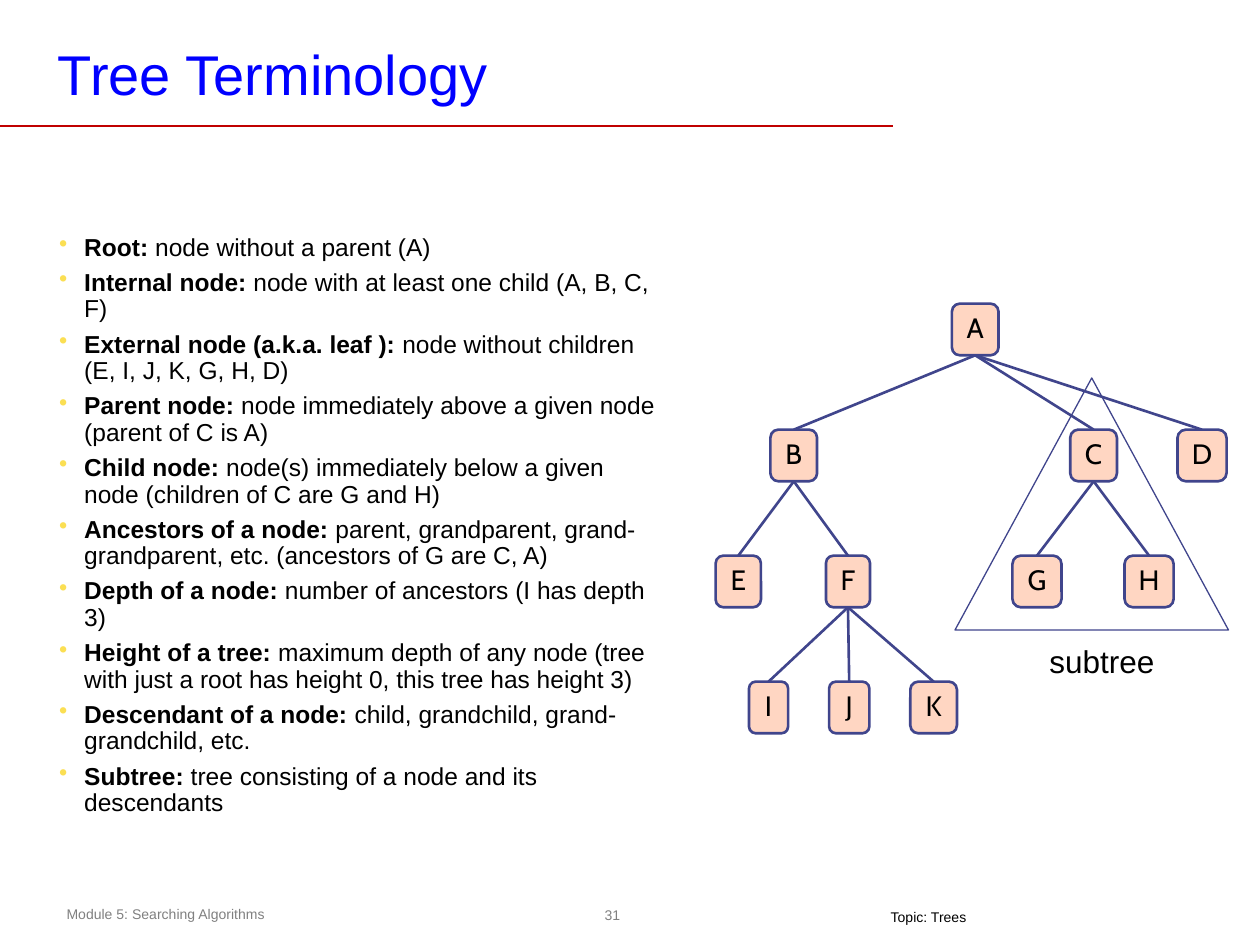
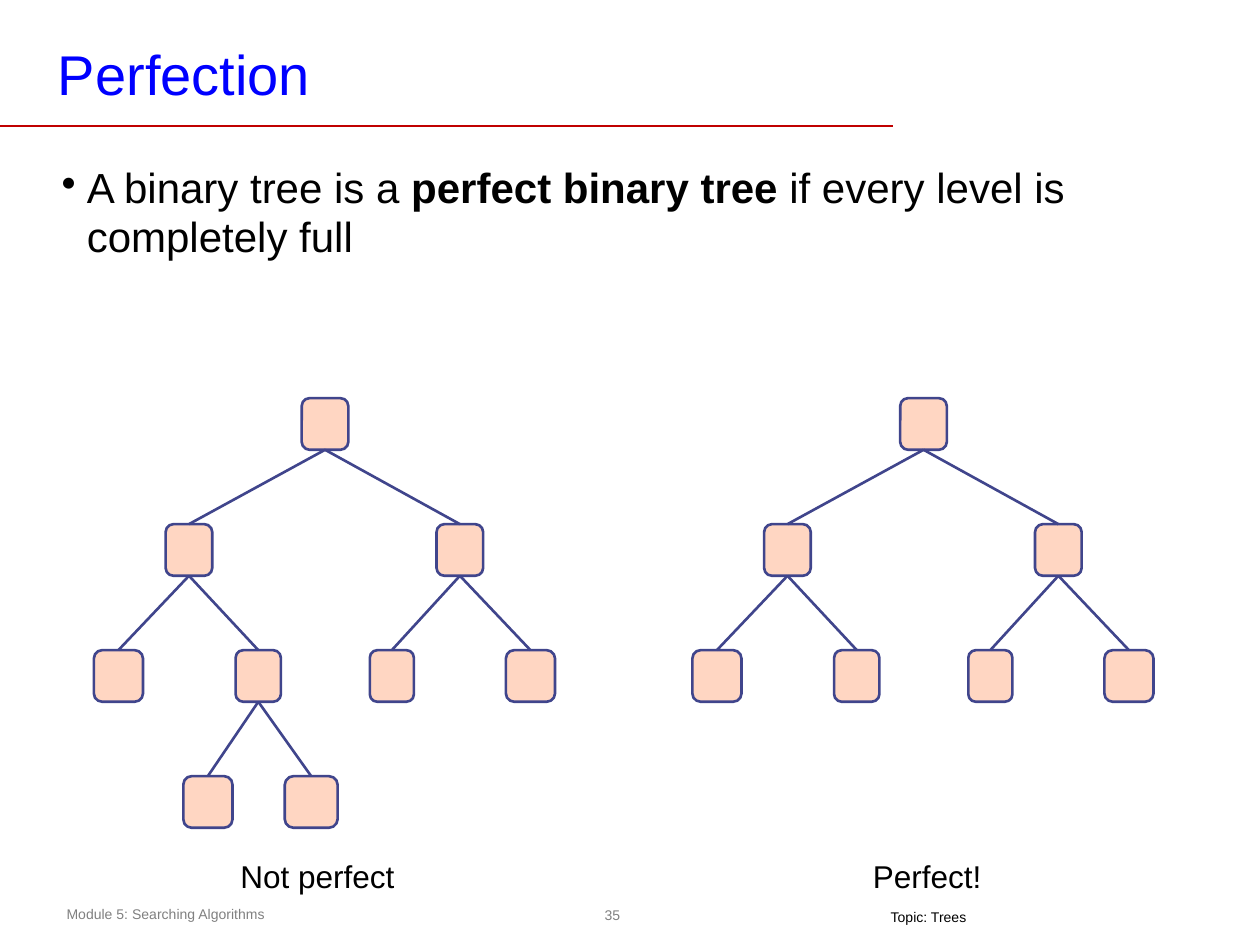
from lxml import etree
from pptx import Presentation
from pptx.dml.color import RGBColor
from pptx.enum.shapes import MSO_CONNECTOR, MSO_SHAPE
from pptx.enum.text import MSO_ANCHOR, PP_ALIGN
from pptx.oxml.ns import qn
from pptx.util import Inches, Pt

STRAIGHT = MSO_CONNECTOR.STRAIGHT
ROUNDED, TRIANGLE = MSO_SHAPE.ROUNDED_RECTANGLE, MSO_SHAPE.ISOSCELES_TRIANGLE
LEFT, CENTER = PP_ALIGN.LEFT, PP_ALIGN.CENTER
TOP, MIDDLE = MSO_ANCHOR.TOP, MSO_ANCHOR.MIDDLE

BLUE = RGBColor(0x00, 0x00, 0xFF)
RED = RGBColor(0xC0, 0x00, 0x00)
GRAY = RGBColor(0x80, 0x80, 0x80)
BLACK = RGBColor(0x00, 0x00, 0x00)
WHITE = RGBColor(0xFF, 0xFF, 0xFF)
INDIGO = RGBColor(0x40, 0x45, 0x8C)
PEACH = RGBColor(0xFF, 0xD6, 0xC2)
YELLOW = RGBColor(0xFB, 0xDF, 0x53)

BODY_FONT, NODE_FONT = "Arial", "Cabin"
SITE_TOP, SITE_BOTTOM = 0, 2
NODE_H, LEVEL_STEP = 0.41, 1.0

TERMS = [
    ("Root: ", "node without a parent (A)"),
    ("Internal node: ", "node with at least one child (A, B, C, F)"),
    ("External node (a.k.a. leaf ): ", "node without children (E, I, J, K, G, H, D)"),
    ("Parent node: ", "node immediately above a given node (parent of C is A)"),
    ("Child node:", " node(s) immediately below a given node (children of C are G and H)"),
    ("Ancestors of a node: ", "parent, grandparent, grand-grandparent, etc. (ancestors of G are C, A)"),
    ("Depth of a node: ", "number of ancestors (I has depth 3)"),
    ("Height of a tree: ", "maximum depth of any node (tree with just a root has height 0, this tree has height 3)"),
    ("Descendant of a node: ", "child, grandchild, grand-grandchild, etc."),
    ("Subtree: ", "tree consisting of a node and its descendants"),
]

# name: (parent, centre x, width)
LETTER_TREE = {
    "A": (None, 7.74, 0.37),
    "B": ("A", 6.3, 0.37), "C": ("A", 8.68, 0.37), "D": ("A", 9.54, 0.39),
    "E": ("B", 5.86, 0.36), "F": ("B", 6.73, 0.35),
    "G": ("C", 8.23, 0.39), "H": ("C", 9.12, 0.39),
    "I": ("F", 6.1, 0.31), "J": ("F", 6.74, 0.32), "K": ("F", 7.41, 0.37),
}
PERFECT_TREE = {
    "root": (None, 2.58, 0.37),
    "l": ("root", 1.5, 0.37), "r": ("root", 3.65, 0.37),
    "ll": ("l", 0.94, 0.39), "lr": ("l", 2.05, 0.36),
    "rl": ("r", 3.11, 0.35), "rr": ("r", 4.21, 0.39),
}
EXTRA_LEAVES = {"lrl": ("lr", 1.65, 0.39), "lrr": ("lr", 2.47, 0.42)}

PERFECTION = [("A binary tree is a ", False), ("perfect binary tree ", True),
              ("if every level is completely full", False)]


def style_run(r, size, color=BLACK, font=BODY_FONT, bold=False):
    r.font.size, r.font.name, r.font.bold = Pt(size), font, bold
    r.font.color.rgb = color


def add_box(slide, at, margins=(0.1, 0.05, 0.1, 0.05), wrap=True, anchor=TOP):
    tf = slide.shapes.add_textbox(*map(Inches, at)).text_frame
    tf.word_wrap, tf.vertical_anchor = wrap, anchor
    tf.margin_left, tf.margin_top, tf.margin_right, tf.margin_bottom = map(Inches, margins)
    return tf


def add_label(slide, text, at, size, color=BLACK, align=LEFT, **frame):
    tf = add_box(slide, at, **frame)
    p = tf.paragraphs[0]
    p.text, p.alignment = text, align
    style_run(p.runs[0], size, color)


def add_bullet(p, parts, size, spacing, bullet_color):
    for text, bold in parts:
        r = p.add_run()
        r.text = text
        style_run(r, size, bold=bold)
    p.line_spacing = spacing
    p.space_before = Pt(5)
    pPr = p._p.get_or_add_pPr()
    pPr.set("marL", str(Inches(0.2)))
    pPr.set("indent", str(-Inches(0.2)))
    clr = etree.SubElement(pPr, qn("a:buClr"))
    etree.SubElement(clr, qn("a:srgbClr")).set("val", str(bullet_color))
    etree.SubElement(pPr, qn("a:buChar")).set("char", "•")


def add_line(shapes, x1, y1, x2, y2, color, width):
    line = shapes.add_connector(STRAIGHT, *map(Inches, (x1, y1, x2, y2)))
    line.line.color.rgb, line.line.width = color, Pt(width)
    etree.SubElement(line._element.spPr, qn("a:effectLst"))
    return line


def add_outlined(shapes, kind, at, fill, width):
    sp = shapes.add_shape(kind, *map(Inches, at))
    sp.shadow.inherit = False
    sp.fill.solid()
    sp.fill.fore_color.rgb = fill
    sp.line.color.rgb, sp.line.width = INDIGO, Pt(width)
    return sp


def add_tree(slide, tree, top, dx=0, lettered=False):
    shapes = slide.shapes.add_group_shape().shapes
    levels, nodes = {}, {}
    for name, (parent, x, w) in tree.items():
        levels[name] = levels[parent] + 1 if parent else 0
        y = top + levels[name] * LEVEL_STEP
        sp = add_outlined(shapes, ROUNDED, (x + dx - w / 2, y, w, NODE_H), PEACH, 1.5)
        sp.adjustments[0] = 0.17
        nodes[name] = sp
        if lettered:
            tf = sp.text_frame
            tf.word_wrap, tf.vertical_anchor = False, MIDDLE
            tf.margin_left = tf.margin_right = tf.margin_top = tf.margin_bottom = 0
            p = tf.paragraphs[0]
            p.text, p.alignment, p.line_spacing = name, CENTER, 0.93
            style_run(p.runs[0], 16, font=NODE_FONT)
    for name, (parent, x, w) in tree.items():
        if parent:
            y = top + levels[name] * LEVEL_STEP
            edge = add_line(shapes, tree[parent][1] + dx, y - LEVEL_STEP + NODE_H,
                            x + dx, y, INDIGO, 1.5)
            edge.begin_connect(nodes[parent], SITE_BOTTOM)
            edge.end_connect(nodes[name], SITE_TOP)


def new_slide(prs, title, number):
    slide = prs.slides.add_slide(prs.slide_layouts[5])
    add_label(slide, number, (4.74, 7.13, 0.24, 0.26), 8, GRAY, CENTER,
              margins=(0.04,) * 4, wrap=False, anchor=MIDDLE)
    add_label(slide, "Module 5: Searching Algorithms", (0.43, 7.14, 3.64, 0.24), 8, GRAY)
    add_label(slide, "Topic: Trees", (6.97, 7.21, 0.81, 0.17), 8,
              margins=(0.1, 0, 0.1, 0.04), wrap=False)
    add_line(slide.shapes, 0, 1, 7.09, 1, RED, 1)
    sp = slide.shapes.title
    sp.left, sp.top, sp.width, sp.height = map(Inches, (0.39, 0.28, 7.42, 0.6))
    tf = sp.text_frame
    tf.text = title
    tf.vertical_anchor = MIDDLE
    tf.margin_left = tf.margin_right = Inches(0.07)
    tf.margin_top = tf.margin_bottom = Inches(0.03)
    tf.paragraphs[0].alignment = LEFT
    style_run(tf.paragraphs[0].runs[0], 32, BLUE)
    return slide


def build_terminology(prs):
    slide = new_slide(prs, "Tree Terminology", "31")
    add_outlined(slide.shapes, TRIANGLE, (7.58, 3, 2.17, 2), WHITE, 0.75)
    tf = add_box(slide, (0.37, 1.81, 4.98, 5.44))
    for i, (term, meaning) in enumerate(TERMS):
        p = tf.add_paragraph() if i else tf.paragraphs[0]
        add_bullet(p, [(term, True), (meaning, False)], 14, 0.9 if i else 0.93, YELLOW)
    add_tree(slide, LETTER_TREE, 2.41, lettered=True)
    add_label(slide, "subtree", (8.23, 5.05, 1.04, 0.4), 18, wrap=False)


def build_perfection(prs):
    slide = new_slide(prs, "Perfection", "35")
    tf = add_box(slide, (0.39, 1.26, 9.31, 1.2))
    add_bullet(tf.paragraphs[0], PERFECTION, 24, 0.97, BLACK)
    add_tree(slide, {**PERFECT_TREE, **EXTRA_LEAVES}, 3.16)
    add_tree(slide, PERFECT_TREE, 3.16, dx=4.75)
    add_label(slide, "Not perfect", (1.81, 6.75, 1.44, 0.4), 18, wrap=False)
    add_label(slide, "Perfect!", (6.83, 6.75, 1.07, 0.4), 18, wrap=False)


def main():
    prs = Presentation()
    prs.slide_width, prs.slide_height = Inches(10), Inches(7.5)
    build_terminology(prs)
    build_perfection(prs)
    prs.save("out.pptx")


if __name__ == "__main__":
    main()
